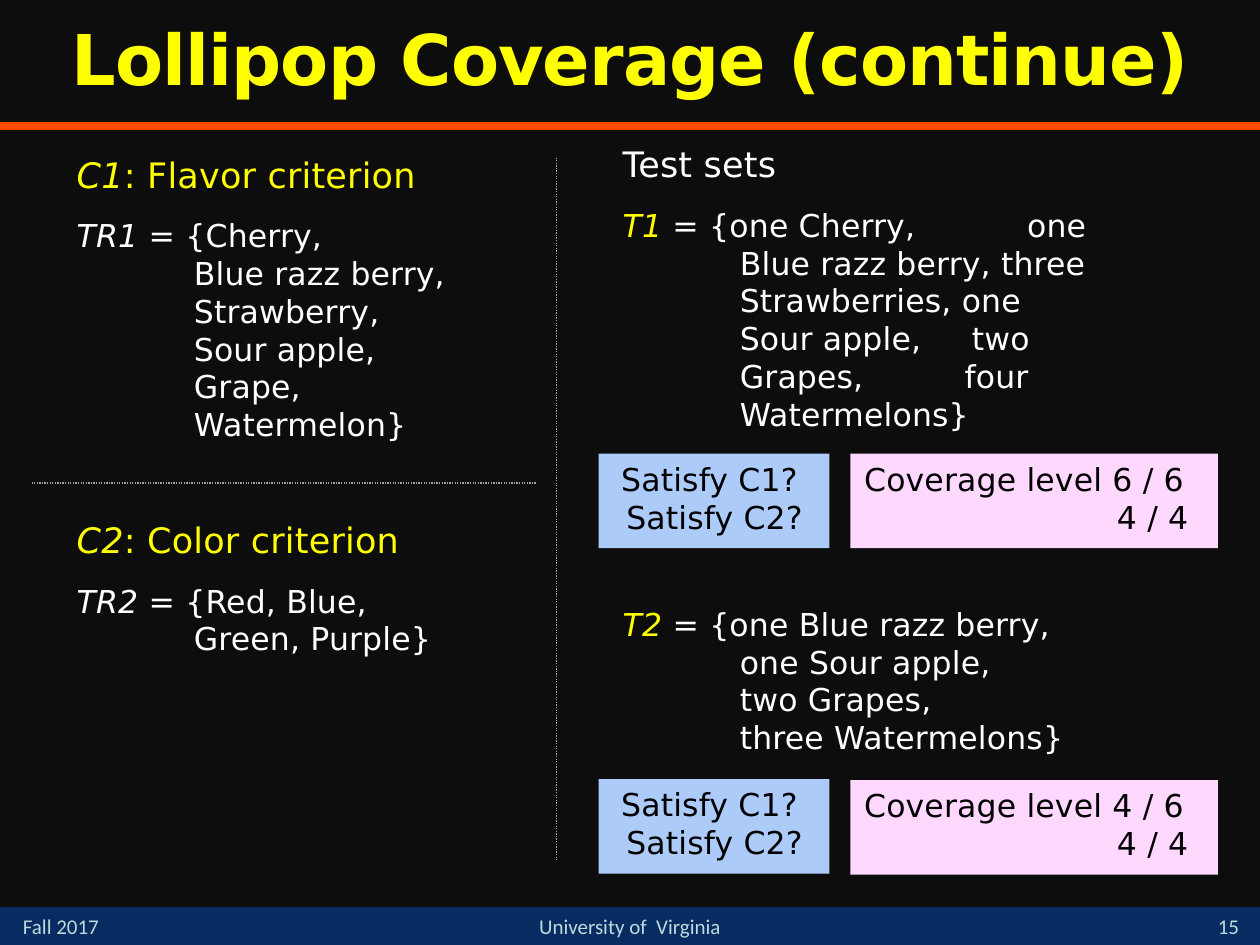
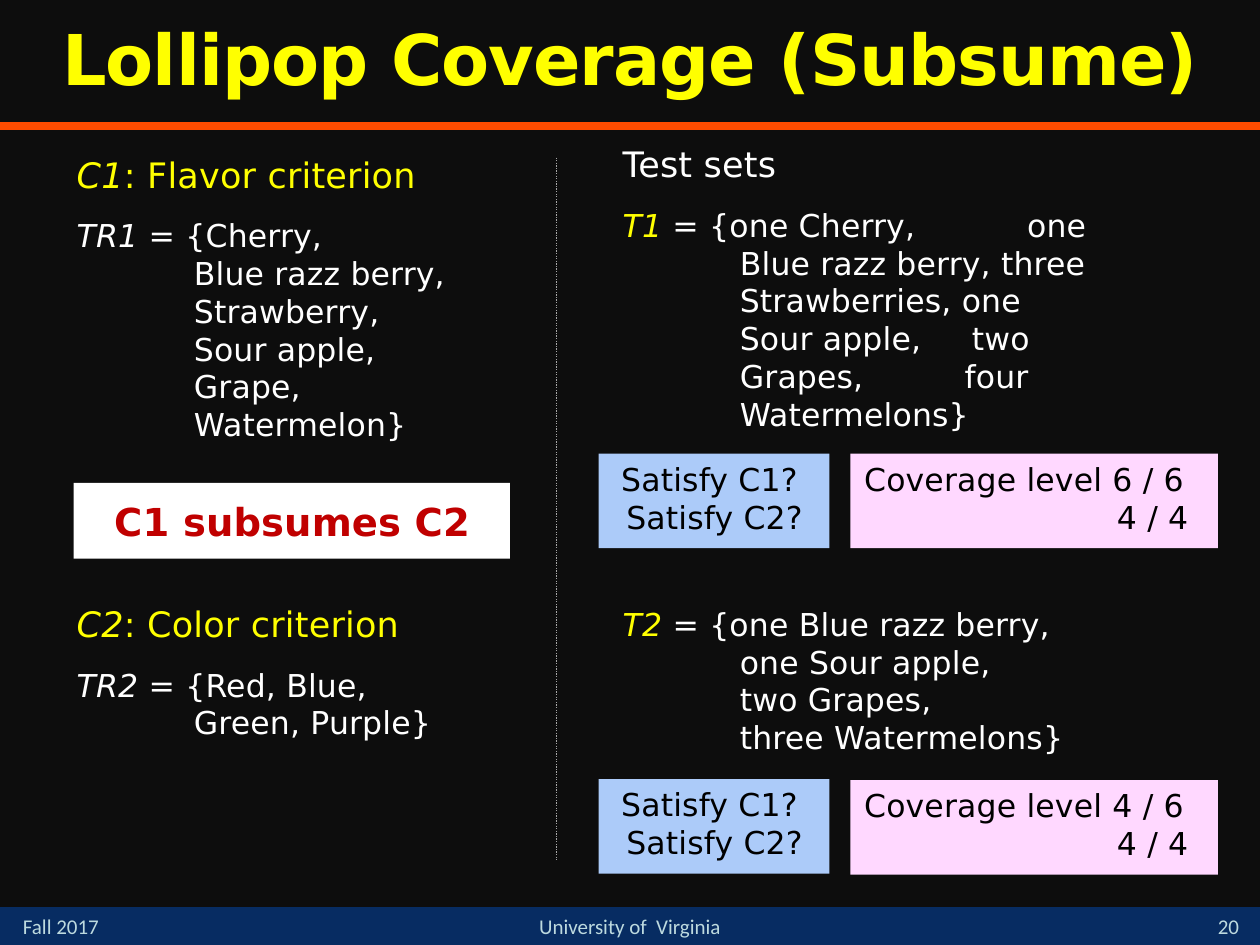
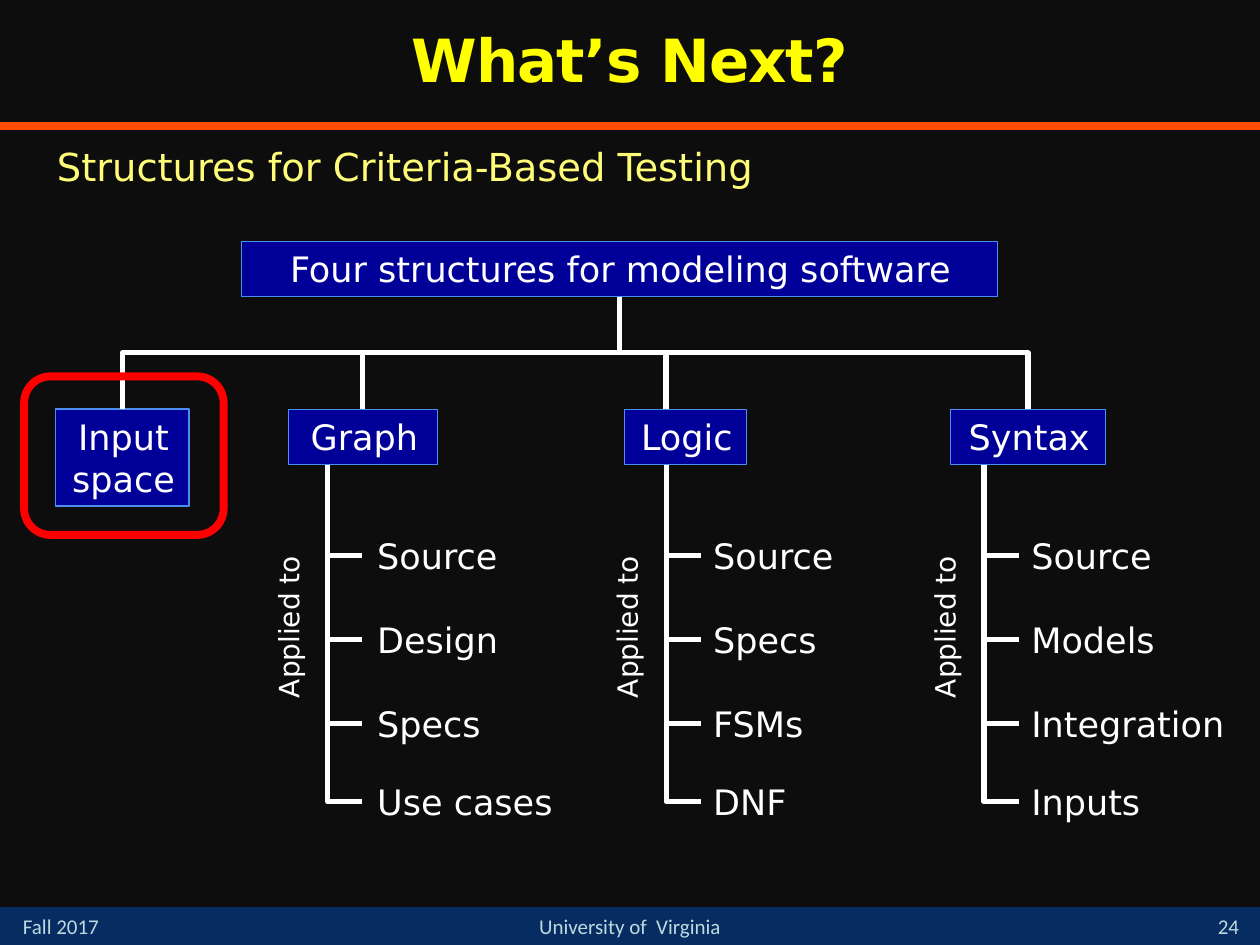
import pptx
import pptx.dml.color
import pptx.enum.dml
import pptx.enum.shapes
import pptx.enum.text
import pptx.oxml.ns
import pptx.util

COLORS = {
    "back": "0D0D0D", "footer": "072C62", "rule": "FF4C00", "footer_text": "BDDADF",
    "title": "FFFF00", "subtitle": "FFFD78", "white": "FFFFFF", "black": "000000",
    "dots": "A6A6A6", "question": "ACCBF9", "level": "FFD8FF", "claim": "C00000",
    "node": "000099", "node_line": "4A8EF2", "focus": "FF0000",
}
COLUMNS, ROWS = 120, 90
CELL = pptx.util.Inches(10) / COLUMNS
HANGING = (0.94, -0.93)
DEEP = (1.88, -1.87)
SLIGHT = (0.02, 0)
TICK = 3.3
LABEL_ROWS = (11.3, 19.3, 27.3, 34.75)
ALIGN = pptx.enum.text.PP_ALIGN
ANCHOR = pptx.enum.text.MSO_ANCHOR
PRESET = pptx.enum.shapes.MSO_SHAPE
CONNECTOR = pptx.enum.shapes.MSO_CONNECTOR


def cells(*numbers):
    """Turn grid cells into slide lengths."""
    return [round(number * CELL) for number in numbers]


def color(name):
    """Return a named colour."""
    return pptx.dml.color.RGBColor.from_string(COLORS[name])


def style(size, tint, **more):
    """Describe how a span of text looks."""
    return dict({"size": size, "tint": tint, "font": "DejaVu Sans", "spacing": 0.1}, **more)


def paragraph(*spans, align=None, indent=None, before=0, after=0, leading=None):
    """Describe a paragraph made of (text, style) spans."""
    return {"spans": spans, "align": align, "indent": indent,
            "before": before, "after": after, "leading": leading}


def add_span(para, text, look):
    """Add one run, with line breaks where the text has them."""
    for number, line in enumerate(text.split("\n")):
        if number:
            para.add_line_break()
        span = para.add_run()
        span.text = line
        span.font.name = look["font"]
        span.font.size = pptx.util.Pt(look["size"])
        span.font.bold = look.get("bold", False)
        span.font.italic = look.get("italic", False)
        span.font.color.rgb = color(look["tint"])
        span._r.get_or_add_rPr().set("spc", str(round(look["spacing"] * 100)))


def write(box, paragraphs, anchor=ANCHOR.TOP):
    """Fill a box with paragraphs."""
    frame = box.text_frame
    frame.word_wrap = True
    frame.vertical_anchor = anchor
    for number, item in enumerate(paragraphs):
        para = frame.add_paragraph() if number else frame.paragraphs[0]
        para.alignment = item["align"] or ALIGN.LEFT
        para.space_before = pptx.util.Pt(item["before"])
        para.space_after = pptx.util.Pt(item["after"])
        para.line_spacing = item["leading"]
        if item["indent"]:
            margin, first = item["indent"]
            properties = para._p.get_or_add_pPr()
            properties.set("marL", str(pptx.util.Inches(margin)))
            properties.set("indent", str(pptx.util.Inches(first)))
        for text, look in item["spans"]:
            add_span(para, text, look)


def add_text(page, area, paragraphs, anchor=ANCHOR.TOP):
    """Add a text box on the grid."""
    box = page.shapes.add_textbox(*cells(*area))
    write(box, paragraphs, anchor)
    return box


def add_panel(page, area, fill=None, line=None, width=0.75, kind=PRESET.RECTANGLE):
    """Add a plain shape on the grid."""
    box = page.shapes.add_shape(kind, *cells(*area))
    box.shadow.inherit = False
    if fill:
        box.fill.solid()
        box.fill.fore_color.rgb = color(fill)
    else:
        box.fill.background()
    if line:
        box.line.color.rgb = color(line)
        box.line.width = pptx.util.Pt(width)
    else:
        box.line.fill.background()
    return box


def add_line(page, ends, tint, width, dash=None, kind=CONNECTOR.STRAIGHT):
    """Add a connector between two grid points."""
    line = page.shapes.add_connector(kind, *cells(*ends))
    line.line.color.rgb = color(tint)
    line.line.width = pptx.util.Pt(width)
    if dash:
        line.line.dash_style = dash
    properties = line.element.spPr
    properties.append(properties.makeelement(pptx.oxml.ns.qn("a:effectLst"), {}))
    return line


def add_elbow(page, start, end, preset):
    """Add a bent connector that leaves its start downwards."""
    (left, top), (right, bottom) = start, end
    across, down = abs(right - left), bottom - top
    middle, center = (left + right) / 2, (top + bottom) / 2
    ends = (middle - down / 2, center - across / 2, middle + down / 2, center + across / 2)
    line = add_line(page, ends, "white", 3, kind=CONNECTOR.ELBOW)
    properties = line.element.spPr
    properties.find(pptx.oxml.ns.qn("a:prstGeom")).set("prst", preset)
    frame = properties.find(pptx.oxml.ns.qn("a:xfrm"))
    frame.set("rot", str((270 if right > left else 90) * 60000))
    if right > left:
        frame.set("flipH", "1")


def add_dots(page, *ends):
    """Add a dotted divider."""
    add_line(page, ends, "dots", 0.75, pptx.enum.dml.MSO_LINE.ROUND_DOT)


def start_page(deck, title, number, size=40):
    """Add a page with its title, rule and footer."""
    page = deck.slides.add_slide(deck.slide_layouts[6])
    page.background.fill.solid()
    page.background.fill.fore_color.rgb = color("back")
    add_panel(page, (0, 86.4, COLUMNS, 3.6), "footer")
    add_line(page, (0, 12, COLUMNS, 12), "rule", 4.5)
    small = style(12, "footer_text", font="Calibri", spacing=0)
    add_text(page, (1, 86.4, 14, 3.6), [paragraph(("Fall 2017", small))])
    add_text(page, (114, 86, 6, 4), [paragraph((str(number), small), align=ALIGN.CENTER)],
             ANCHOR.BOTTOM)
    add_text(page, (44, 86.4, 32, 3.6),
             [paragraph(("University of  Virginia", small), align=ALIGN.CENTER)])
    heading = style(size, "title", bold=True, spacing=-0.5)
    add_text(page, (0, 0, COLUMNS, 12),
             [paragraph((title, heading), align=ALIGN.CENTER, leading=0.9)], ANCHOR.MIDDLE)
    return page


def add_criterion(page, area, number, name, members):
    """Add a criterion and its test requirements."""
    add_text(page, area, [
        paragraph((f"C{number}", style(20, "title", italic=True)),
                  (f": {name} criterion", style(20, "title")), indent=HANGING),
        paragraph((f"TR{number}", style(18, "white", italic=True)),
                  (f" = {{{members}}}", style(18, "white")), indent=HANGING, before=12),
    ], ANCHOR.MIDDLE)


def add_test_sets(page, area):
    """Add the two test sets."""
    plain = style(18, "white")
    name = style(18, "title", italic=True)

    def gap(points):
        """Return one widened space."""
        return " ", style(18, "white", spacing=points)

    add_text(page, area, [
        paragraph(("Test sets", style(20, "white")), indent=HANGING),
        paragraph(("T1", name), (" = {one Cherry,", plain), gap(58),
                  ("one Blue razz berry, three Strawberries, one Sour apple,", plain), gap(23),
                  ("two Grapes,", plain), gap(52), ("four Watermelons}", plain),
                  indent=HANGING, before=12),
        paragraph(("T2 ", name),
                  ("= {one Blue razz berry,\none Sour apple,\ntwo Grapes,\nthree Watermelons}",
                   plain), indent=HANGING, before=98.4),
    ])


def add_verdict(page, column, row, drop, flavors):
    """Add the question panel and the coverage panel beside it."""
    look = style(18, "black")
    write(add_panel(page, (column, row, 22, 9), "question"),
          [paragraph((text, look), align=ALIGN.CENTER, indent=HANGING)
           for text in ("Satisfy C1? ", "Satisfy C2?")])
    write(add_panel(page, (column + 24, row + drop, 35, 9), "level"), [
        paragraph((f"Coverage level {flavors} / 6", look), indent=HANGING),
        paragraph(("\t4 / 4", look), align=ALIGN.CENTER, indent=DEEP),
    ])


def coverage_page(deck, title, number, color_row):
    """Build a page that compares two criteria with two test sets."""
    page = start_page(deck, title, number)
    add_criterion(page, (6, 14, 38, 28.8), 1, "Flavor",
                  "Cherry,\nBlue razz berry, Strawberry, Sour apple, Grape, Watermelon")
    add_criterion(page, (6, color_row, 38, 18), 2, "Color", "Red, Blue, Green, Purple")
    add_test_sets(page, (58, 13, 47, 64))
    add_dots(page, 53, 15, 53, 82)
    add_verdict(page, 57, 43.2, 0, 6)
    add_verdict(page, 57, 74.2, 0.1, 4)
    return page


def add_claim(page, area, text):
    """Add the highlighted conclusion."""
    look = style(22, "claim", bold=True)
    write(add_panel(page, area, "white"),
          [paragraph((text, look), align=ALIGN.CENTER, indent=HANGING)], ANCHOR.MIDDLE)


def label(text, size=20, align=None):
    """Describe a one-span diagram label."""
    return [paragraph((text, style(size, "white", spacing=0)), align=align, indent=SLIGHT)]


def add_node(page, area, text):
    """Add a box of the diagram."""
    write(add_panel(page, area, "node", "node_line"), label(text, align=ALIGN.CENTER))


def add_branch(page, area, trunk, text_column, text_width, name, uses):
    """Add a structure with the artifacts it applies to."""
    column, row, width, height = area
    add_node(page, area, name)
    for offset, use in zip(LABEL_ROWS, uses):
        add_text(page, (text_column, row + offset, text_width, height), label(use))
        add_elbow(page, (trunk, row + height), (trunk + TICK, row + offset + 2.6),
                  "bentConnector2")
    caption = add_text(page, (trunk - 13.5, row + 16.95, 19.5, 4.4), label("Applied to", 16))
    caption.rotation = 270


def structures_page(deck):
    """Build the page with the tree of structures."""
    page = start_page(deck, "What’s Next?", 24, 34)
    add_text(page, (4, 13, 113, 8),
             [paragraph(("Structures for Criteria-Based Testing",
                         style(22, "subtitle", spacing=0)), indent=SLIGHT, after=3)])
    top, height = 39, 5.25
    add_node(page, (23, 23, 72, height), "Four structures for modeling software")
    add_node(page, (5.3, 38.95, 12.7, 9.25), "Input space")
    branches = (
        (27.5, 14.2, 31.2, 34.5, 19.5, "Graph", ("Source", "Design", "Specs", "Use cases")),
        (59.5, 11.6, 63.45, 66.5, 19.5, "Logic", ("Source", "Specs", "FSMs", "DNF")),
        (90.5, 14.8, 93.7, 96.8, 22.2, "Syntax",
         ("Source", "Models", "Integration", "Inputs")),
    )
    for column, width, *details in branches:
        add_branch(page, (column, top, width, height), *details)
    for drop in (11.65, 34.55, 63.45, 97.9):
        add_elbow(page, (59, 23 + height), (drop, top - 0.05), "bentConnector3")
    add_panel(page, (2.3, 35.85, 19, 15.1), line="focus", width=4.5,
              kind=PRESET.ROUNDED_RECTANGLE)


def main():
    """Build and save the deck."""
    deck = pptx.Presentation()
    deck.slide_width, deck.slide_height = cells(COLUMNS, ROWS)
    page = coverage_page(deck, "Lollipop Coverage (continue)", 15, 47)
    add_dots(page, 3, 46, 51, 46)
    page = coverage_page(deck, "Lollipop Coverage (Subsume)", 20, 55)
    add_claim(page, (7, 46, 41.55, 7.2), "C1 subsumes C2")
    structures_page(deck)
    deck.save("out.pptx")


if __name__ == "__main__":
    main()
